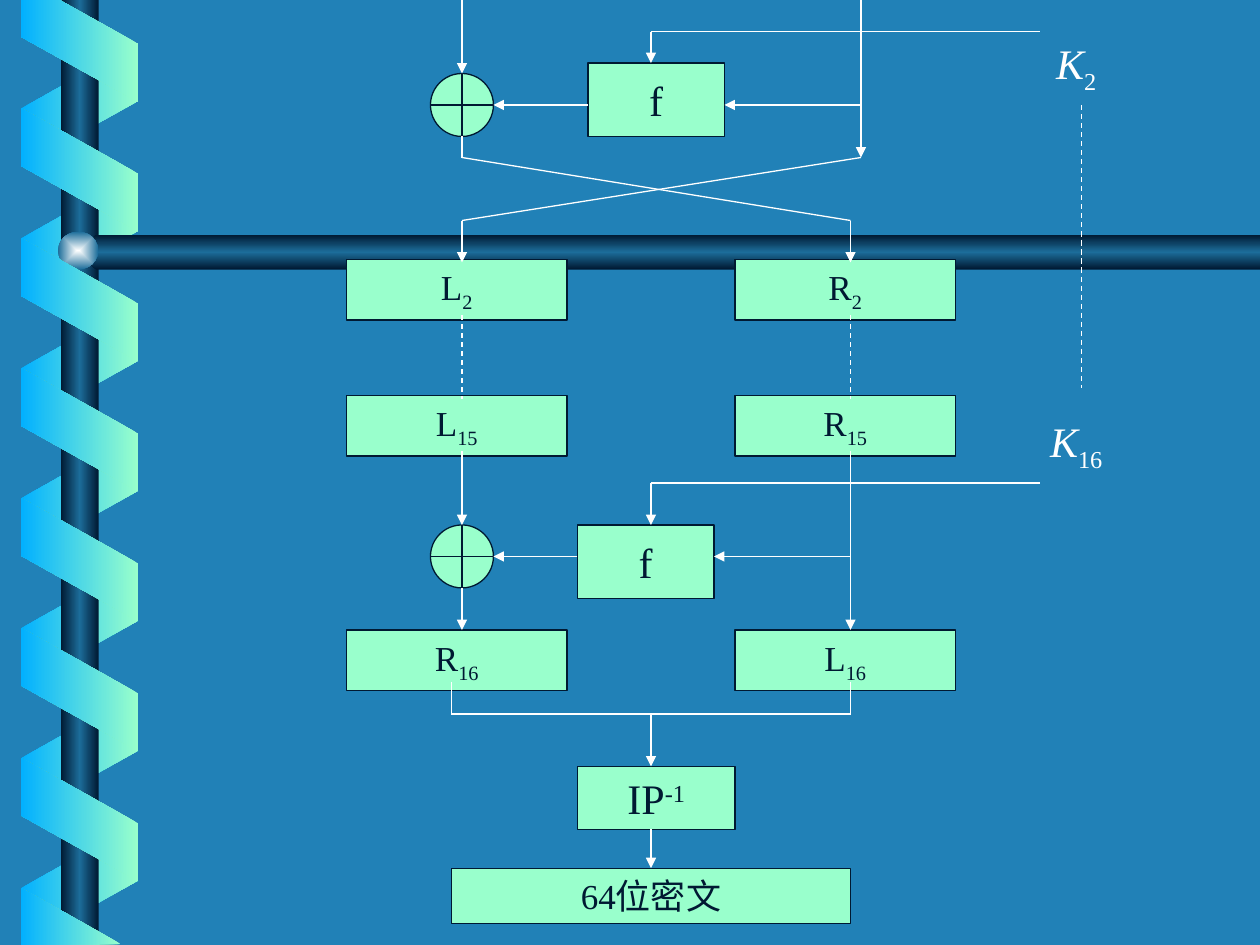
"""Build the slide showing the last rounds of a Feistel cipher."""
from dataclasses import dataclass
from typing import NamedTuple

from lxml.etree import SubElement
from pptx import Presentation
from pptx.dml.color import RGBColor
from pptx.enum.dml import MSO_LINE
from pptx.enum.shapes import MSO_CONNECTOR, MSO_SHAPE as Preset
from pptx.enum.text import MSO_ANCHOR as Anchor, PP_ALIGN as Align
from pptx.oxml import parse_xml
from pptx.oxml.ns import nsdecls, qn
from pptx.util import Pt


@dataclass(frozen=True)
class Theme:
    """Colours, type sizes and line width of the slide."""
    background: str = "2181B7"
    mint: str = "99FFCC"
    sky: str = "01B0FF"
    navy: str = "001932"
    steel: str = "1C6D9A"
    pearl: str = "FEFFFF"
    white: str = "FFFFFF"
    font: str = "Times New Roman"
    register_size: int = 20
    large_size: int = 24
    line_width: float = 0.75


class Area(NamedTuple):
    """A rectangle in points."""
    left: float
    top: float
    width: float
    height: float


class Box(NamedTuple):
    """A labelled box with an optional raised or lowered index."""
    area: Area
    text: str
    index: str = ""
    baseline: int = -25
    centred: bool = False


class Wire(NamedTuple):
    """A straight line, with an optional arrowhead or dashes."""
    start: tuple
    end: tuple
    arrow: bool = False
    dashed: bool = False


THEME = Theme()
LEFT, MIDDLE, RIGHT, KEY = 264, 372, 486, 594
RIGHT_IN = 492
KEY_DASH = 618

STEEL_STOPS = ((0, THEME.navy), (50, THEME.steel), (100, THEME.navy))
BACK_STOPS = ((0, THEME.sky), (100, THEME.mint))
FRONT_STOPS = ((0, THEME.mint), (100, THEME.sky))
LINEAR = '<a:lin ang="{}" scaled="0"/>'
FROM_CENTRE = ('<a:path path="rect"><a:fillToRect l="50000" t="50000" '
               'r="50000" b="50000"/></a:path>')

REGISTER_ROWS = ((148.3, ("L", "2"), ("R", "2")),
                 (226, ("L", "15"), ("R", "15")),
                 (360, ("R", "16"), ("L", "16")))
REGISTERS = [Box(Area(left, top, 126, 34.6), *label)
             for top, *labels in REGISTER_ROWS
             for left, label in zip((198, 420), labels)]
FUNCTIONS = [Box(Area(336, 36, 78, 42), "f", centred=True),
             Box(Area(330, 300, 78, 42), "f", centred=True),
             Box(Area(330, 438, 90, 36), "IP", "-1", 30, True)]
CIPHERTEXT = Box(Area(258, 496.1, 228, 31.6), "64位密文")
KEYS = [Box(Area(576, 18, 78, 40), "K", "2"), Box(Area(576, 234, 78, 40), "K", "16")]
XOR_TOPS = (42, 300)

WIRES = (
    Wire((MIDDLE, 18), (KEY, 18)),
    Wire((MIDDLE, 18), (MIDDLE, 36), arrow=True),
    Wire((336, 60), (282, 60), arrow=True),
    Wire((RIGHT_IN, 0), (RIGHT_IN, 90), arrow=True),
    Wire((RIGHT_IN, 60), (414, 60), arrow=True),
    Wire((LEFT, 0), (LEFT, 42), arrow=True),
    Wire((LEFT, 78), (LEFT, 90)),
    Wire((LEFT, 90), (RIGHT, 126)),
    Wire((LEFT, 126), (RIGHT_IN, 90)),
    Wire((LEFT, 126), (LEFT, 150), arrow=True),
    Wire((RIGHT, 126), (RIGHT, 150), arrow=True),
    Wire((LEFT, 180), (LEFT, 228), dashed=True),
    Wire((RIGHT, 180), (RIGHT, 228), dashed=True),
    Wire((KEY_DASH, 60), (KEY_DASH, 222), dashed=True),
    Wire((LEFT, 258), (LEFT, 300), arrow=True),
    Wire((RIGHT, 258), (RIGHT, 360), arrow=True),
    Wire((MIDDLE, 276), (KEY, 276)),
    Wire((MIDDLE, 276), (MIDDLE, 300), arrow=True),
    Wire((RIGHT, 318), (408, 318), arrow=True),
    Wire((330, 318), (282, 318), arrow=True),
    Wire((LEFT, 336), (LEFT, 360), arrow=True),
    Wire((258, 390), (258, 408)),
    Wire((RIGHT, 390), (RIGHT, 408)),
    Wire((258, 408), (RIGHT, 408)),
    Wire((MIDDLE, 408), (MIDDLE, 438), arrow=True),
)
OUTPUT_WIRE = Wire((MIDDLE, 474), (MIDDLE, 496.1), arrow=True)


def colour(value: str) -> RGBColor:
    """Turn a hex value into a colour."""
    return RGBColor.from_string(value)


def add_preset(slide, preset, area: Area):
    """Add a preset shape without shadow."""
    shape = slide.shapes.add_shape(preset, *map(Pt, area))
    shape.shadow.inherit = False
    return shape


def fill_gradient(shape, stops, direction: str) -> None:
    """Give an unlined shape a gradient that keeps to the slide's axes."""
    shape.line.fill.background()
    shape.fill.background()
    stop_xml = "".join(f'<a:gs pos="{place * 1000}"><a:srgbClr val="{value}"/></a:gs>'
                       for place, value in stops)
    gradient = parse_xml(f'<a:gradFill {nsdecls("a")} rotWithShape="0">'
                         f'<a:gsLst>{stop_xml}</a:gsLst>{direction}</a:gradFill>')
    properties = shape._element.spPr
    properties.replace(properties.find(qn("a:noFill")), gradient)


def add_outline(slide, points, stops, angle: int) -> None:
    """Draw a closed outline with a linear gradient."""
    first, *others = [tuple(map(Pt, point)) for point in points]
    builder = slide.shapes.build_freeform(*first, scale=1.0)
    builder.add_line_segments(others, close=True)
    shape = builder.convert_to_shape()
    shape.shadow.inherit = False
    fill_gradient(shape, stops, LINEAR.format(angle * 60000))


def add_ribbons(slide, first_top: float, count: int, front: bool) -> None:
    """Draw evenly spaced turns of the ribbon before or behind the pole."""
    for turn in range(count):
        area = Area(10.1, first_top + 74.25 * turn, 70.5, 67)
        shape = add_preset(slide, Preset.PARALLELOGRAM, area)
        shape.adjustments[0] = 0.56
        shape.rotation = 270 if front else 90
        if not front:
            shape._element.spPr.xfrm.set("flipH", "1")
        stops = FRONT_STOPS if front else BACK_STOPS
        fill_gradient(shape, stops, LINEAR.format(180 * 60000))


def add_decoration(slide) -> None:
    """Draw the pole, the crossbar and the ribbon around the pole."""
    add_ribbons(slide, 26.4, 7, front=False)
    pole = add_preset(slide, Preset.RECTANGLE, Area(34.8, 0, 21.6, 540))
    fill_gradient(pole, STEEL_STOPS, LINEAR.format(180 * 60000))
    add_outline(slide, ((720, 134.2), (55, 134.2), (43.2, 144), (55, 154), (720, 154)),
                STEEL_STOPS, 90)
    knob = add_preset(slide, Preset.OVAL, Area(33.2, 132.4, 23, 21.6))
    fill_gradient(knob, ((0, THEME.pearl), (100, THEME.steel)), FROM_CENTRE)
    add_ribbons(slide, 63.4, 6, front=True)
    add_outline(slide, ((12, 0), (12, 21), (78.8, 58.2), (78.8, 25), (34, 0)),
                FRONT_STOPS, 180)
    add_outline(slide, ((69, 539.5), (12, 507.4), (11.8, 540)), FRONT_STOPS, 180)


def paint(shape) -> None:
    """Apply the fill and outline of the diagram parts."""
    shape.fill.solid()
    shape.fill.fore_color.rgb = colour(THEME.mint)
    shape.line.color.rgb = colour(THEME.navy)
    shape.line.width = Pt(THEME.line_width)


def write(shape, box: Box, size: int, text_colour: str, italic: bool = False) -> None:
    """Write a label and its index into a shape."""
    frame = shape.text_frame
    frame.text = box.text
    frame.word_wrap = not box.centred
    frame.vertical_anchor = Anchor.MIDDLE if box.centred else Anchor.TOP
    paragraph = frame.paragraphs[0]
    paragraph.alignment = Align.CENTER
    if box.index:
        index = paragraph.add_run()
        index.text = box.index
        index._r.get_or_add_rPr().set("baseline", str(box.baseline * 1000))
    for position, run in enumerate(paragraph.runs):
        run.font.name = THEME.font
        run.font.size = Pt(size)
        run.font.color.rgb = colour(text_colour)
        run.font.italic = italic and position == 0


def add_box(slide, box: Box, size: int):
    """Draw a labelled box."""
    shape = add_preset(slide, Preset.RECTANGLE, box.area)
    paint(shape)
    write(shape, box, size, THEME.navy)
    return shape


def add_wire(slide, wire: Wire):
    """Draw a straight wire."""
    connector = slide.shapes.add_connector(
        MSO_CONNECTOR.STRAIGHT, *map(Pt, wire.start + wire.end))
    connector.line.color.rgb = colour(THEME.white)
    connector.line.width = Pt(THEME.line_width)
    if wire.dashed:
        connector.line.dash_style = MSO_LINE.DASH
    if wire.arrow:
        SubElement(connector.line._get_or_add_ln(), qn("a:tailEnd"), type="triangle")
    SubElement(connector._element.spPr, qn("a:effectLst"))
    return connector


def main() -> None:
    """Build and save the presentation."""
    presentation = Presentation()
    presentation.slide_width, presentation.slide_height = Pt(720), Pt(540)
    slide = presentation.slides.add_slide(presentation.slide_layouts[6])
    slide.background.fill.solid()
    slide.background.fill.fore_color.rgb = colour(THEME.background)
    add_decoration(slide)
    for box in REGISTERS:
        add_box(slide, box, THEME.register_size)
    for box in FUNCTIONS:
        add_box(slide, box, THEME.large_size)
    ciphertext = add_box(slide, CIPHERTEXT, THEME.register_size)
    for top in XOR_TOPS:
        paint(add_preset(slide, Preset.FLOWCHART_OR, Area(246, top, 36, 36)))
    for wire in WIRES:
        add_wire(slide, wire)
    add_wire(slide, OUTPUT_WIRE).end_connect(ciphertext, 0)
    for key in KEYS:
        label = slide.shapes.add_textbox(*map(Pt, key.area))
        write(label, key, THEME.large_size, THEME.white, italic=True)
    presentation.save("out.pptx")


if __name__ == "__main__":
    main()
